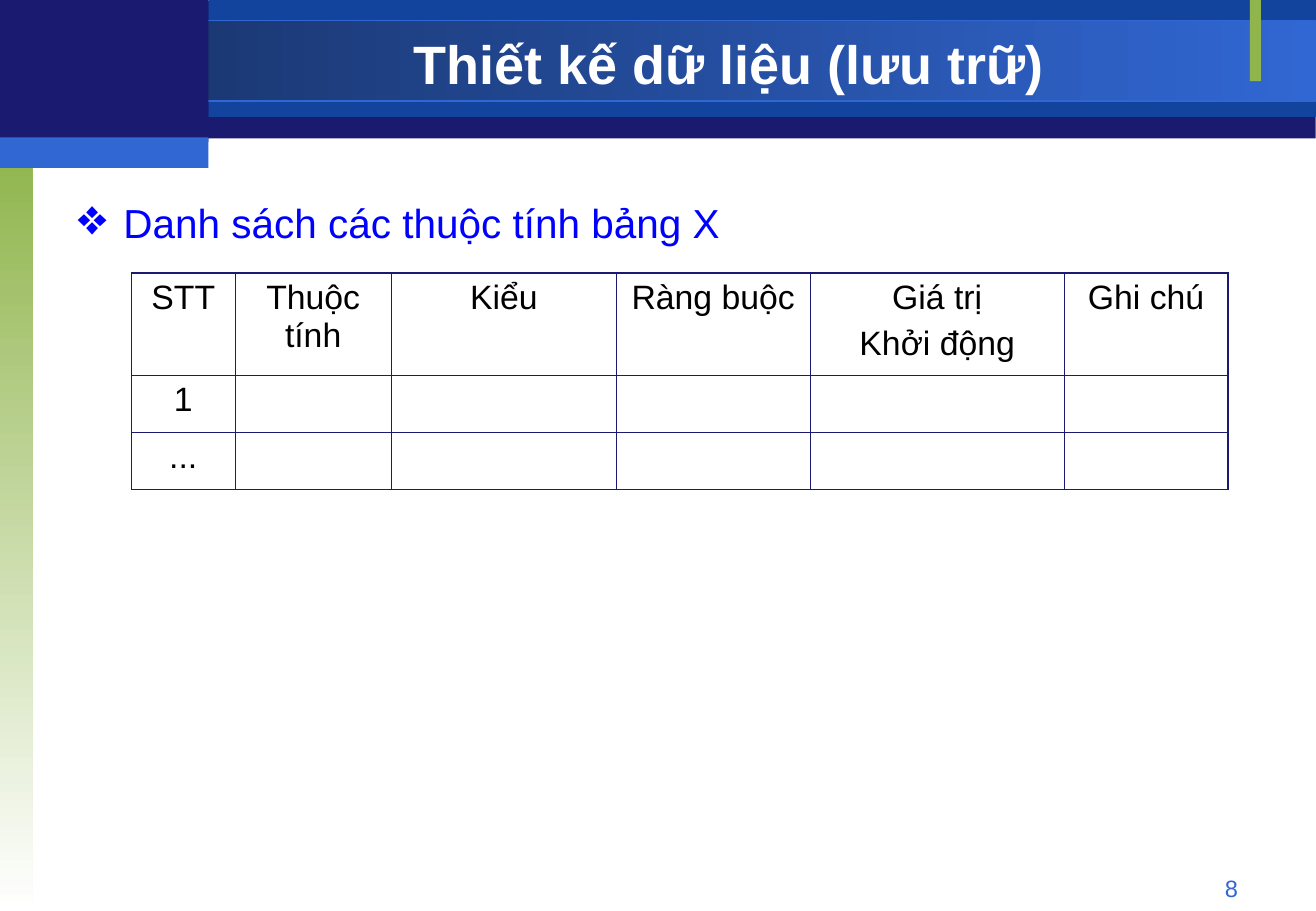
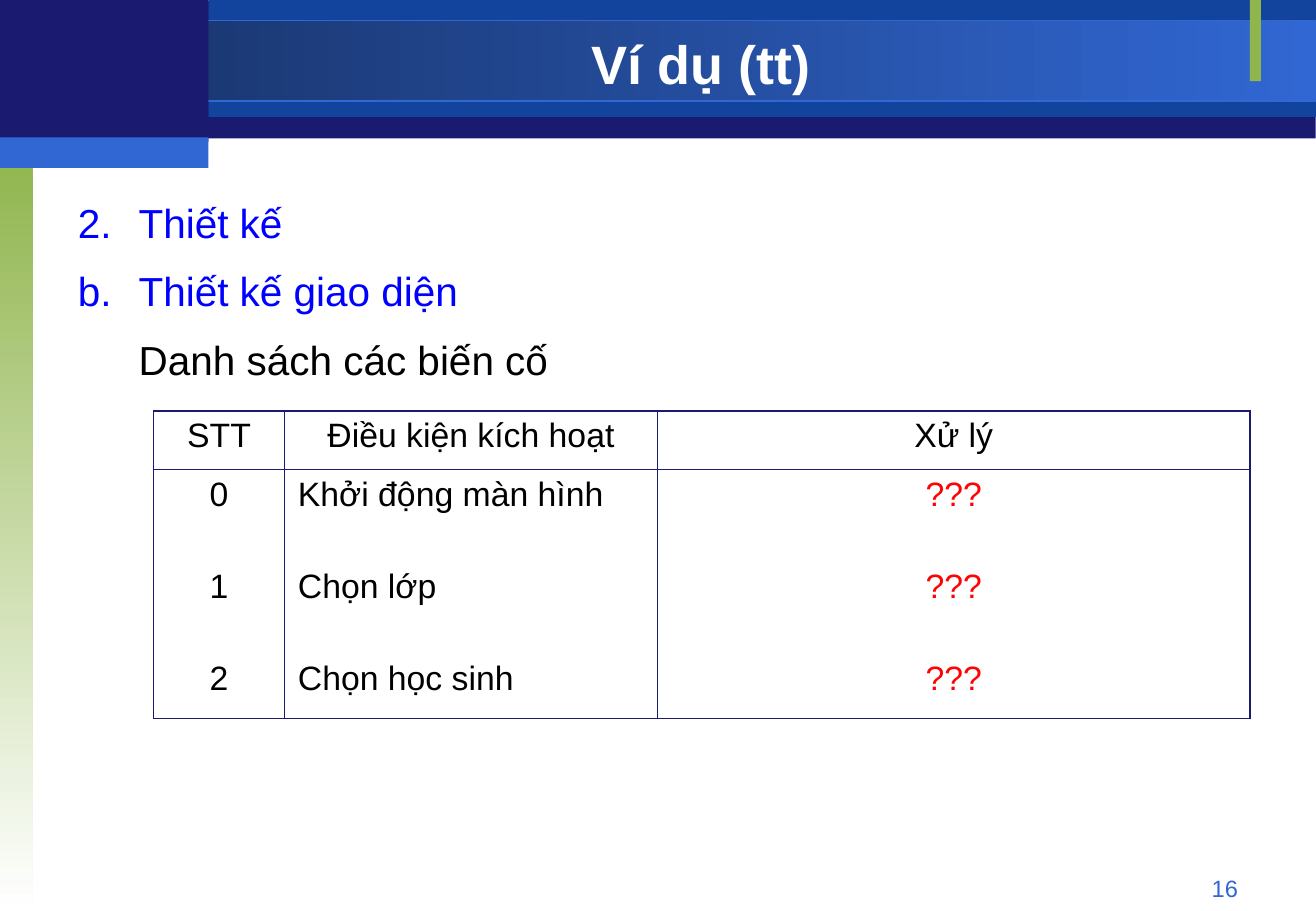
import pptx
import pptx.dml.color
import pptx.enum.shapes
import pptx.enum.text
import pptx.oxml
import pptx.oxml.ns
import pptx.util
from lxml import etree

Pt = pptx.util.Pt
ALIGN = pptx.enum.text.PP_ALIGN
COLOURS = {
    "navy": "1A1A70", "royal": "12449E", "dusk": "173062", "sky": "3167D3",
    "green": "90B54D", "white": "FFFFFF", "black": "000000", "blue": "0000FF",
    "red": "FF0303",
}
FONT = "Arial"
OUTER, INNER = 1.08, 0.45
PAGE_WIDTH, PAGE_HEIGHT = 780.38, 540


def rgb(name):
    return pptx.dml.color.RGBColor.from_string(COLOURS[name])


def add_text(frame, text, size=20, colour="black", bold=False, align=ALIGN.CENTER,
             before=0, spacing=None, indent=0, hanging=0, bullet=None):
    """Add one paragraph; bullet is a tag name, its attributes and its size in percent."""
    para = frame.paragraphs[0]
    if para.runs:
        para = frame.add_paragraph()
    props = para._p.get_or_add_pPr()
    props.set("marL", str(Pt(indent)))
    props.set("indent", str(Pt(-hanging)))
    if bullet:
        tag, attributes, percent = bullet
        bullet_colour = etree.SubElement(props, pptx.oxml.ns.qn("a:buClr"))
        etree.SubElement(bullet_colour, pptx.oxml.ns.qn("a:srgbClr"), val=COLOURS[colour])
        etree.SubElement(props, pptx.oxml.ns.qn("a:buSzPct"), val=str(percent * 1000))
        etree.SubElement(props, pptx.oxml.ns.qn(tag), **attributes)
    else:
        etree.SubElement(props, pptx.oxml.ns.qn("a:buNone"))
    para.alignment = align
    para.space_before = Pt(before)
    if spacing:
        para.line_spacing = spacing
    span = para.add_run()
    span.text = text
    span.font.name = FONT
    span.font.size = Pt(size)
    span.font.bold = bold
    span.font.color.rgb = rgb(colour)


deck = pptx.Presentation()
deck.slide_width = Pt(PAGE_WIDTH)
deck.slide_height = Pt(PAGE_HEIGHT)
layout = deck.slide_layouts[5]

diamond = ("a:buChar", {"char": "❖"}, 125)
number = ("a:buAutoNum", {"type": "arabicPeriod", "startAt": "2"}, 100)
letter = ("a:buAutoNum", {"type": "alphaLcPeriod", "startAt": "2"}, 100)
pages = [
    {
        "title": "Thiết kế dữ liệu (lưu trữ)", "title_at": (123.6, 617.8), "number": "8",
        "body": [("Danh sách các thuộc tính bảng X", "blue", 27, 27, diamond)],
        "table_at": (78.1, 162),
        "columns": [61.2, 92.9, 133.2, 115.2, 150.5, 97.2],
        "rows": [60.5, 33.8, 33.8],
        "cells": [
            ["STT", "Thuộc tính", "Kiểu", "Ràng buộc", "Giá trị\nKhởi động", "Ghi chú"],
            ["1", "", "", "", "", ""],
            ["...", "", "", "", "", ""],
        ],
        "gap": 5, "left_cells": [], "red_cells": [],
    },
    {
        "title": "Ví dụ (tt)", "title_at": (123.4, 584.9), "number": "16",
        "body": [
            ("Thiết kế", "blue", 36, 36, number),
            ("Thiết kế giao diện", "blue", 36, 36, letter),
            ("Danh sách các biến cố", "black", 36, 0, None),
        ],
        "table_at": (91, 243.7),
        "columns": [77.8, 221.2, 351.2],
        "rows": [34.6, 147.6],
        "cells": [
            ["STT", "Điều kiện kích hoạt", "Xử lý"],
            ["0\n1\n2", "Khởi động màn hình\nChọn lớp\nChọn học sinh", "???\n???\n???"],
        ],
        "gap": 32.2, "left_cells": [(1, 1)], "red_cells": [(1, 2)],
    },
]

# Bands: left, top, width, height, fill colours, gradient angle, line colour
bands = [
    (0, 0.7, 780.2, 81.4, ["navy"], 0, None),
    (123.6, 0, 656.7, 69.3, ["royal"], 0, None),
    (0, 12.4, 780.2, 47.5, ["dusk", "sky"], 0, "sky"),
    (0, 90, 19.4, 450, ["green", "white"], 270, None),
    (741.2, 0, 6.5, 48.2, ["green"], 0, None),
    (0, 0, 123.6, 84.2, ["navy"], 0, None),
    (0, 81.5, 123.6, 18, ["sky"], 0, None),
]

for page in pages:
    slide = deck.slides.add_slide(layout)
    for left, top, width, height, fills, angle, line in bands:
        band = slide.shapes.add_shape(
            pptx.enum.shapes.MSO_SHAPE.RECTANGLE, Pt(left), Pt(top), Pt(width), Pt(height))
        band.shadow.inherit = False
        if len(fills) == 1:
            band.fill.solid()
            band.fill.fore_color.rgb = rgb(fills[0])
        else:
            band.fill.gradient()
            band.fill.gradient_angle = angle
            for stop, colour in zip(band.fill.gradient_stops, fills):
                stop.color.rgb = rgb(colour)
        if line:
            band.line.color.rgb = rgb(line)
            band.line.width = Pt(0.75)
        else:
            band.line.fill.background()

    title = slide.shapes.title
    slide.shapes.element.append(title.element)  # in front of the bands
    title.left, title.width = [Pt(length) for length in page["title_at"]]
    title.top, title.height = Pt(16.6), Pt(41.8)
    title.text_frame.vertical_anchor = pptx.enum.text.MSO_ANCHOR.MIDDLE
    title.text_frame.auto_size = pptx.enum.text.MSO_AUTO_SIZE.NONE
    add_text(title.text_frame, page["title"], size=32, colour="white", bold=True)

    number_box = slide.shapes.add_textbox(Pt(559), Pt(514.4), Pt(182.2), Pt(19.4))
    number_box.text_frame.word_wrap = True
    add_text(number_box.text_frame, page["number"], size=14, colour="sky", align=ALIGN.RIGHT)

    body = slide.shapes.add_textbox(Pt(39.1), Pt(108), Pt(702), Pt(396))
    body.text_frame.word_wrap = True
    for index, (text, colour, indent, hanging, bullet) in enumerate(page["body"]):
        add_text(body.text_frame, text, size=24, colour=colour, align=ALIGN.JUSTIFY,
                 before=6 if index else 0, spacing=1.2,
                 indent=indent, hanging=hanging, bullet=bullet)

    columns, rows = page["columns"], page["rows"]
    left, top = page["table_at"]
    table = slide.shapes.add_table(
        len(rows), len(columns), Pt(left), Pt(top), Pt(sum(columns)), Pt(sum(rows))).table
    table.first_row = table.horz_banding = False
    for column, width in zip(table.columns, columns):
        column.width = Pt(width)
    for row, height in zip(table.rows, rows):
        row.height = Pt(height)
    for r, texts in enumerate(page["cells"]):
        for c, text in enumerate(texts):
            cell = table.cell(r, c)
            cell.margin_left = cell.margin_right = Pt(7.9)
            cell.margin_top = cell.margin_bottom = Pt(3.6)
            on_edge = {"L": c == 0, "R": c == len(columns) - 1,
                       "T": r == 0, "B": r == len(rows) - 1}
            for side, outer in on_edge.items():
                border = etree.SubElement(
                    cell._tc.get_or_add_tcPr(), pptx.oxml.ns.qn("a:ln" + side),
                    w=str(Pt(OUTER if outer else INNER)))
                fill = etree.SubElement(border, pptx.oxml.ns.qn("a:solidFill"))
                etree.SubElement(fill, pptx.oxml.ns.qn("a:srgbClr"), val=COLOURS["navy"])
            cell.fill.background()
            for index, line in enumerate(text.split("\n") if text else []):
                add_text(cell.text_frame, line,
                         colour="red" if (r, c) in page["red_cells"] else "black",
                         align=ALIGN.LEFT if (r, c) in page["left_cells"] else ALIGN.CENTER,
                         before=page["gap"] if index else 0)

deck.save("out.pptx")
